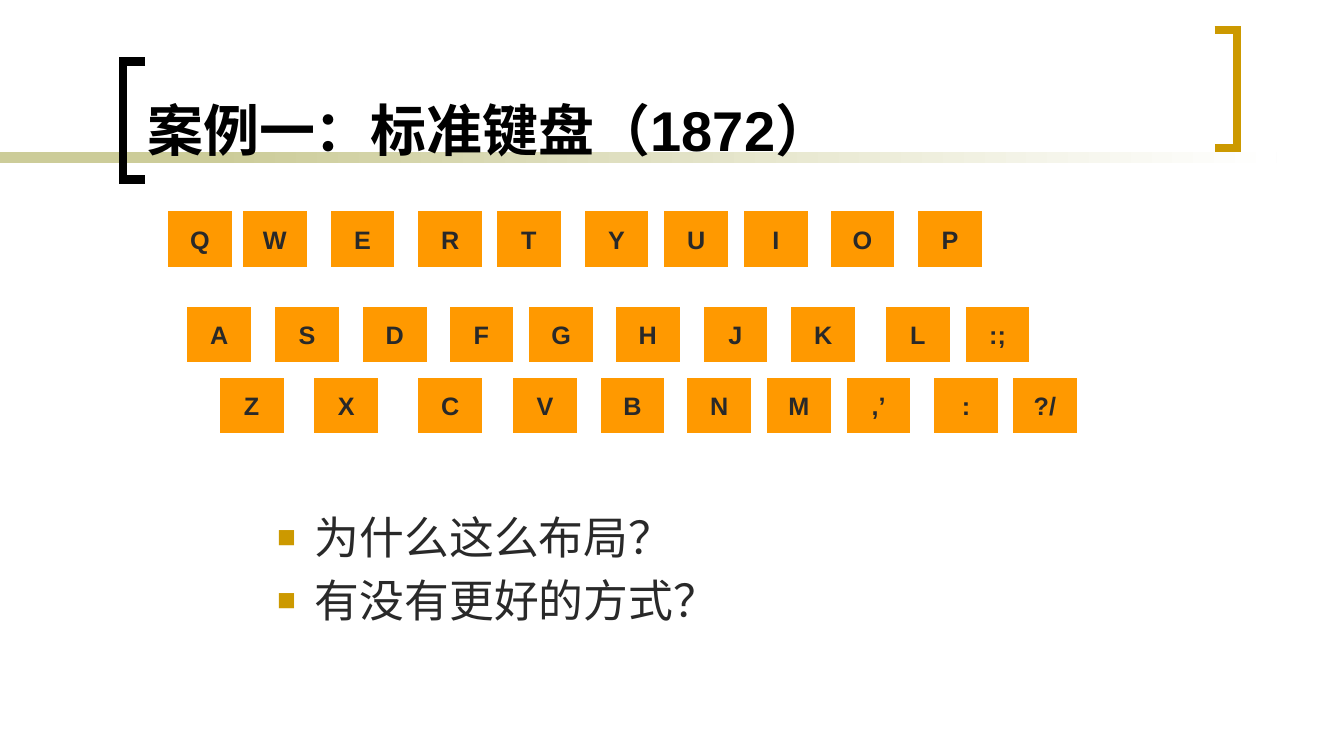
"""Build the slide on the standard keyboard layout of 1872."""
from dataclasses import dataclass

import lxml.etree
import pptx
import pptx.dml.color
import pptx.enum.shapes
import pptx.enum.text
import pptx.oxml.ns
import pptx.shapes.base
import pptx.slide
import pptx.text.text
import pptx.util

Pt = pptx.util.Pt
RGBColor = pptx.dml.color.RGBColor
Preset = pptx.enum.shapes.MSO_SHAPE
Align = pptx.enum.text.PP_ALIGN
Anchor = pptx.enum.text.MSO_ANCHOR
Fit = pptx.enum.text.MSO_AUTO_SIZE
qn = pptx.oxml.ns.qn

BLACK = RGBColor(0x00, 0x00, 0x00)
WHITE = RGBColor(0xFF, 0xFF, 0xFF)
DARK = RGBColor(0x29, 0x29, 0x29)
SAND = RGBColor(0xCC, 0xCC, 0x99)
GOLD = RGBColor(0xCC, 0x99, 0x00)
ORANGE = RGBColor(0xFF, 0x99, 0x00)
FONT = "Arial"
KEY_W, KEY_H = 45.5, 39.6


@dataclass(frozen=True)
class Row:
    top: float
    labels: tuple[str, ...]
    lefts: tuple[float, ...]


@dataclass(frozen=True)
class Band:
    left: float
    width: float
    end: RGBColor


@dataclass(frozen=True)
class Bracket:
    spine: float
    tip: float
    top: float
    color: RGBColor


ROWS = (
    Row(151, tuple("QWERTYUIOP"),
        (120, 173.5, 236.2, 298.8, 355, 417.6, 474.5, 531.4, 593.3, 655.9)),
    Row(219, (*"ASDFGHJKL", ":;"),
        (133.9, 196.6, 259.2, 321.1, 378, 439.9, 502.6, 565.2, 632.9, 689.8)),
    Row(270, (*"ZXCVBNM", ",’", ":", "?/"),
        (157, 224.6, 298.8, 366.5, 429.1, 491, 547.9, 604.8, 667.4, 723.6)),
)
BANDS = (Band(0, 224, SAND), Band(152, 760, WHITE))
BRACKETS = (Bracket(87.8, 103.7, 43.9, BLACK), Bracket(883.4, 867.6, 21.6, GOLD))
ASKS = ("为什么这么布局？", "有没有更好的方式？")


def style(para: pptx.text.text._Paragraph, size: float, color: RGBColor, bold: bool) -> None:
    for run in para.runs:
        run.font.name = FONT
        run.font.size = Pt(size)
        run.font.bold = bold
        run.font.color.rgb = color


def place(shape: pptx.shapes.base.BaseShape, left: float, top: float,
          width: float, height: float) -> None:
    shape.left, shape.top = Pt(left), Pt(top)
    shape.width, shape.height = Pt(width), Pt(height)


def draw_band(slide: pptx.slide.Slide, band: Band) -> None:
    shape = slide.shapes.add_shape(
        Preset.RECTANGLE, Pt(band.left), Pt(108.7), Pt(band.width), Pt(7.9))
    shape.shadow.inherit = False
    shape.line.fill.background()
    shape.fill.gradient()
    shape.fill.gradient_angle = 0
    for stop, color in zip(shape.fill.gradient_stops, (SAND, band.end)):
        stop.color.rgb = color


def draw_bracket(slide: pptx.slide.Slide, item: Bracket) -> None:
    foot = item.top + 84.3
    path = slide.shapes.build_freeform(Pt(item.tip), Pt(item.top))
    path.add_line_segments(
        [(Pt(item.spine), Pt(item.top)), (Pt(item.spine), Pt(foot)),
         (Pt(item.tip), Pt(foot))], close=False)
    shape = path.convert_to_shape()
    shape.shadow.inherit = False
    shape.fill.background()
    shape.line.color.rgb = item.color
    shape.line.width = Pt(6)
    line = shape.element.spPr.find(qn("a:ln"))
    lxml.etree.SubElement(line, qn("a:miter"), lim="800000")


def draw_title(slide: pptx.slide.Slide) -> None:
    title = slide.shapes.title
    place(title, 97.9, 7.9, 751.7, 111.6)
    title.element.getparent().append(title.element)
    frame = title.text_frame
    frame.text = "案例一：标准键盘（1872）"
    frame.auto_size = Fit.NONE
    frame.vertical_anchor = Anchor.BOTTOM
    frame.paragraphs[0].alignment = Align.LEFT
    style(frame.paragraphs[0], 40, BLACK, True)


def draw_row(slide: pptx.slide.Slide, row: Row) -> None:
    for label, left in zip(row.labels, row.lefts):
        key = slide.shapes.add_shape(
            Preset.ACTION_BUTTON_CUSTOM, Pt(left), Pt(row.top), Pt(KEY_W), Pt(KEY_H))
        key.shadow.inherit = False
        key.fill.solid()
        key.fill.fore_color.rgb = ORANGE
        key.line.fill.background()
        frame = key.text_frame
        frame.text = label
        frame.word_wrap = False
        frame.vertical_anchor = Anchor.MIDDLE
        frame.paragraphs[0].alignment = Align.CENTER
        style(frame.paragraphs[0], 18, DARK, True)


def add_bullet(para: pptx.text.text._Paragraph) -> None:
    props = para._p.get_or_add_pPr()
    props.set("marL", str(Pt(27)))
    props.set("indent", str(-Pt(27)))
    tint = lxml.etree.SubElement(props, qn("a:buClr"))
    lxml.etree.SubElement(tint, qn("a:srgbClr"), val=str(GOLD))
    lxml.etree.SubElement(props, qn("a:buSzPct"), val="70000")
    lxml.etree.SubElement(props, qn("a:buFont"), typeface=FONT)
    lxml.etree.SubElement(props, qn("a:buChar"), char="■")


def draw_asks(slide: pptx.slide.Slide) -> None:
    box = slide.shapes.add_textbox(Pt(190.8), Pt(360.7), Pt(608.4), Pt(141.8))
    frame = box.text_frame
    frame.word_wrap = True
    frame.text = "\n".join(ASKS)
    for rank, para in enumerate(frame.paragraphs):
        add_bullet(para)
        para.space_before = Pt(6.4 if rank else 0)
        style(para, 32, DARK, False)


def main() -> None:
    deck = pptx.Presentation()
    deck.slide_width, deck.slide_height = Pt(960), Pt(540)
    slide = deck.slides.add_slide(deck.slide_layouts.get_by_name("Title Only"))
    for band in BANDS:
        draw_band(slide, band)
    for item in BRACKETS:
        draw_bracket(slide, item)
    draw_title(slide)
    for row in ROWS:
        draw_row(slide, row)
    draw_asks(slide)
    deck.save("out.pptx")


if __name__ == "__main__":
    main()
